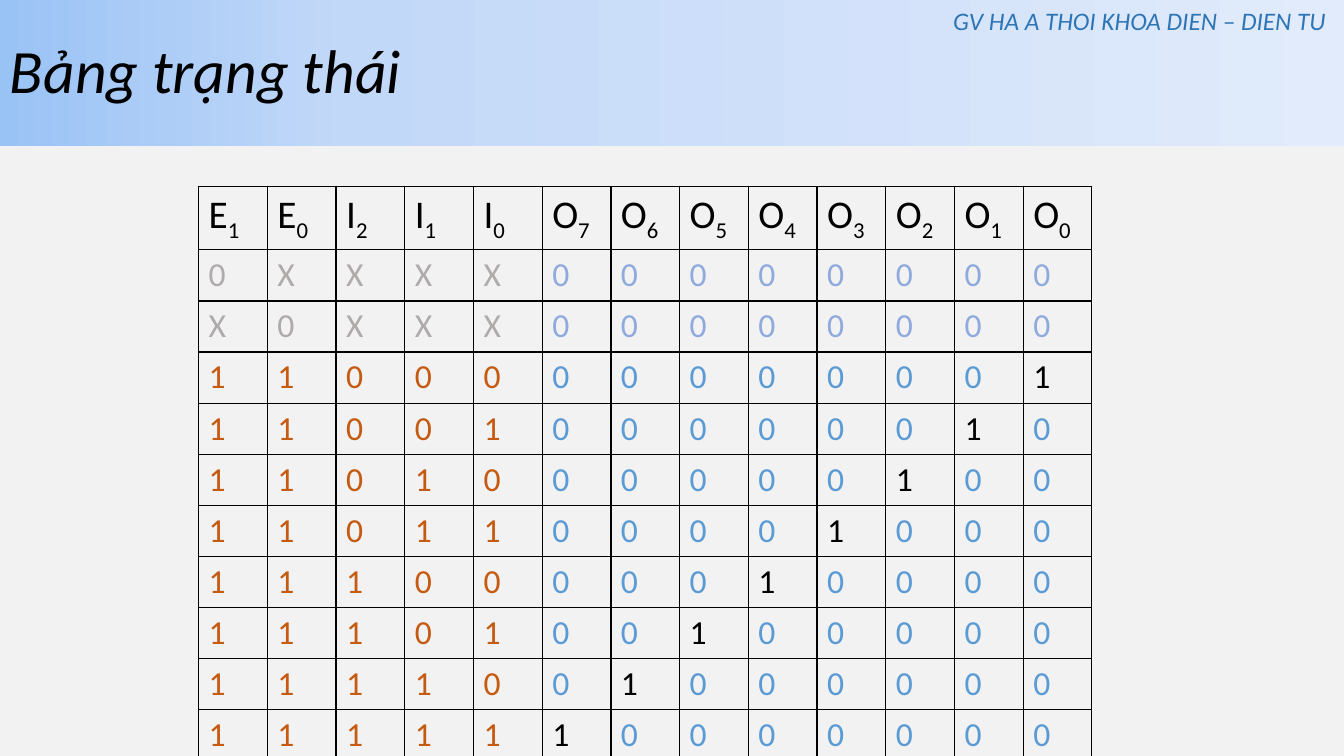
from lxml import etree
from pptx import Presentation
from pptx.dml.color import RGBColor
from pptx.enum import shapes, text
from pptx.oxml import ns
from pptx.util import Inches, Pt

COLORS = {
    "page": "F2F2F2",
    "black": "000000",
    "label": "2E75B6",
    "idle_input": "AFABAB",
    "idle_output": "8FAADC",
    "input": "C55A11",
    "output": "5B9BD5",
    "band_start": "9AC3F5",
    "band_middle": "C2D8F8",
    "band_end": "E1EBFB",
}
FONT = "Calibri"
OUTPUTS = 8
HEADINGS = ["E1", "E0", "I2", "I1", "I0"] + [f"O{n}" for n in reversed(range(OUTPUTS))]
INPUTS = len(HEADINGS) - OUTPUTS
IDLE_ROWS = ["0XXXX", "X0XXX"]


def add_span(para, words, size, color="black", italic=False, subscript=False):
    span = para.add_run()
    span.text = words
    span.font.name = FONT
    span.font.size = Pt(size)
    span.font.italic = italic
    span.font.color.rgb = RGBColor.from_string(COLORS[color])
    if subscript:
        span.font._element.set("baseline", "-25000")


def fill_gradient(shape, stops):
    """Fill a shape from left to right with (percent, colour name) stops."""
    shape.fill.gradient()
    shape.fill.gradient_angle = 0
    stop_list = shape._element.spPr.find(".//" + ns.qn("a:gsLst"))
    for old_stop in list(stop_list):
        stop_list.remove(old_stop)
    for percent, color in stops:
        stop = etree.SubElement(stop_list, ns.qn("a:gs"), pos=str(percent * 1000))
        etree.SubElement(stop, ns.qn("a:srgbClr"), val=COLORS[color])


def draw_borders(cell):
    properties = cell._tc.get_or_add_tcPr()
    for index, side in enumerate(("lnL", "lnR", "lnT", "lnB")):
        line = etree.Element(ns.qn(f"a:{side}"), w=str(Pt(1)))
        solid = etree.SubElement(line, ns.qn("a:solidFill"))
        etree.SubElement(solid, ns.qn("a:srgbClr"), val=COLORS["black"])
        properties.insert(index, line)


def add_title_band(page, left, top, width, height):
    band = page.shapes.add_shape(
        shapes.MSO_SHAPE.RECTANGLE, Inches(left), Inches(top), Inches(width), Inches(height))
    band.shadow.inherit = False
    band.line.fill.background()
    fill_gradient(band, [(0, "band_start"), (26, "band_middle"), (100, "band_end")])
    band.text_frame.vertical_anchor = text.MSO_ANCHOR.MIDDLE
    para = band.text_frame.paragraphs[0]
    para.alignment = text.PP_ALIGN.LEFT
    para.line_spacing = 0.9
    add_span(para, "Bảng trạng thái", 44, italic=True)


def add_label(page, left, top, width, height):
    box = page.shapes.add_textbox(Inches(left), Inches(top), Inches(width), Inches(height))
    box.text_frame.word_wrap = False
    para = box.text_frame.paragraphs[0]
    para.alignment = text.PP_ALIGN.CENTER
    add_span(para, "GV HA A THOI KHOA DIEN – DIEN TU ", 18, "label", italic=True)


def truth_rows():
    """Give each row as (value, colour name) pairs, idle rows first."""
    for inputs in IDLE_ROWS:
        yield [(v, "idle_input") for v in inputs] + [("0", "idle_output")] * OUTPUTS
    for code in range(OUTPUTS):
        row = [(v, "input") for v in f"11{code:03b}"] + [("0", "output")] * OUTPUTS
        row[-1 - code] = ("1", "black")
        yield row


def add_truth_table(page, left, top, width, row_height):
    rows = list(truth_rows())
    count = len(rows) + 1
    table = page.shapes.add_table(
        count, len(HEADINGS), Inches(left), Inches(top),
        Inches(width), Inches(row_height * count)).table
    table.first_row = False
    table.horz_banding = False
    for cell in table.iter_cells():
        cell.fill.background()
        draw_borders(cell)
    for column, (letter, number) in enumerate(HEADINGS):
        para = table.cell(0, column).text_frame.paragraphs[0]
        add_span(para, letter, 28)
        add_span(para, number, 28, subscript=True)
    for index, row in enumerate(rows, start=1):
        for column, (value, color) in enumerate(row):
            add_span(table.cell(index, column).text_frame.paragraphs[0], value, 24, color)


def main():
    deck = Presentation()
    deck.slide_width, deck.slide_height = Inches(13.33), Inches(7.5)
    page = deck.slides.add_slide(deck.slide_layouts[6])
    page.background.fill.solid()
    page.background.fill.fore_color.rgb = RGBColor.from_string(COLORS["page"])
    add_title_band(page, 0, 0, 13.33, 1.45)
    add_truth_table(page, 1.97, 1.85, 8.86, 0.41)
    add_label(page, 9.33, 0, 4, 0.4)
    deck.save("out.pptx")


if __name__ == "__main__":
    main()
